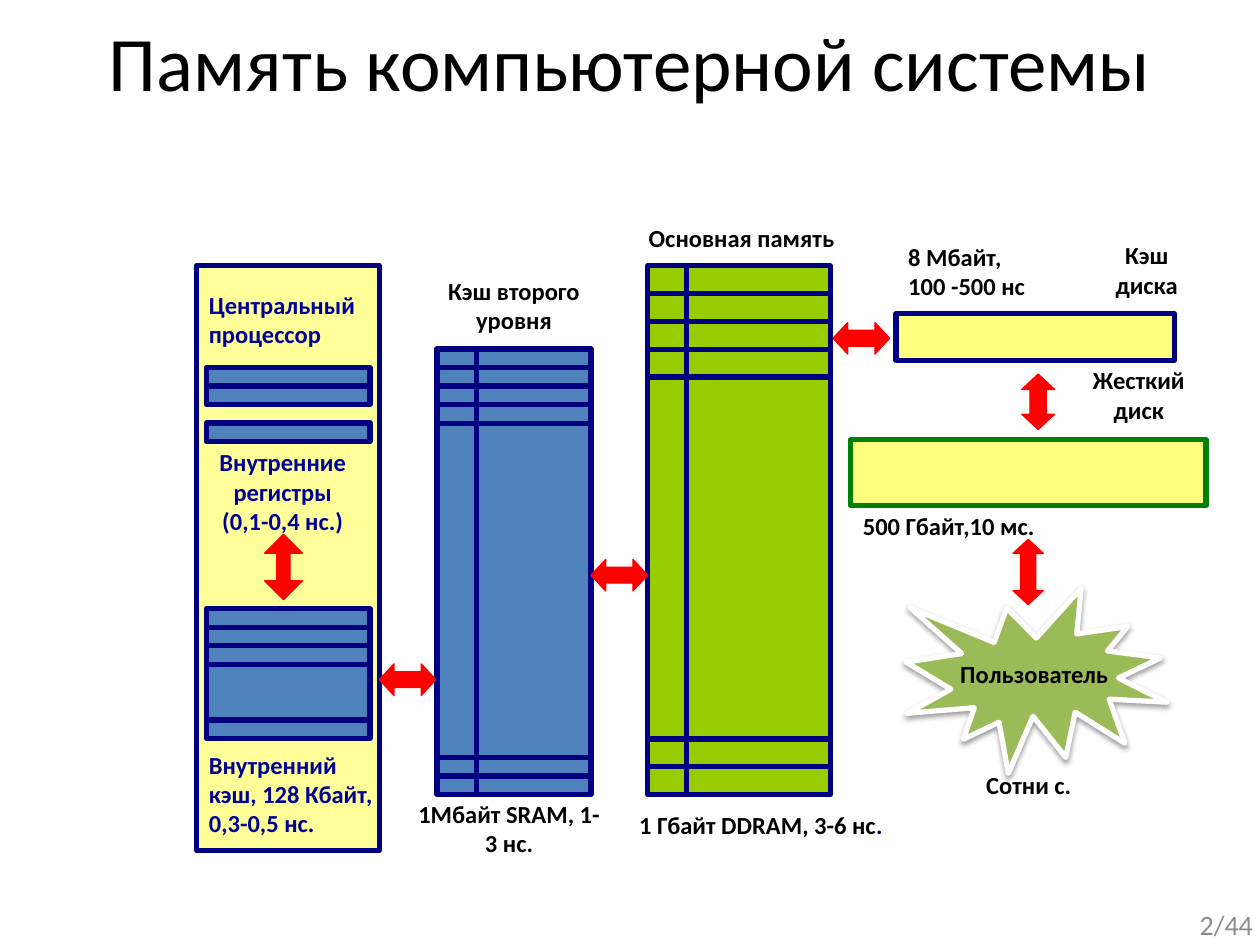
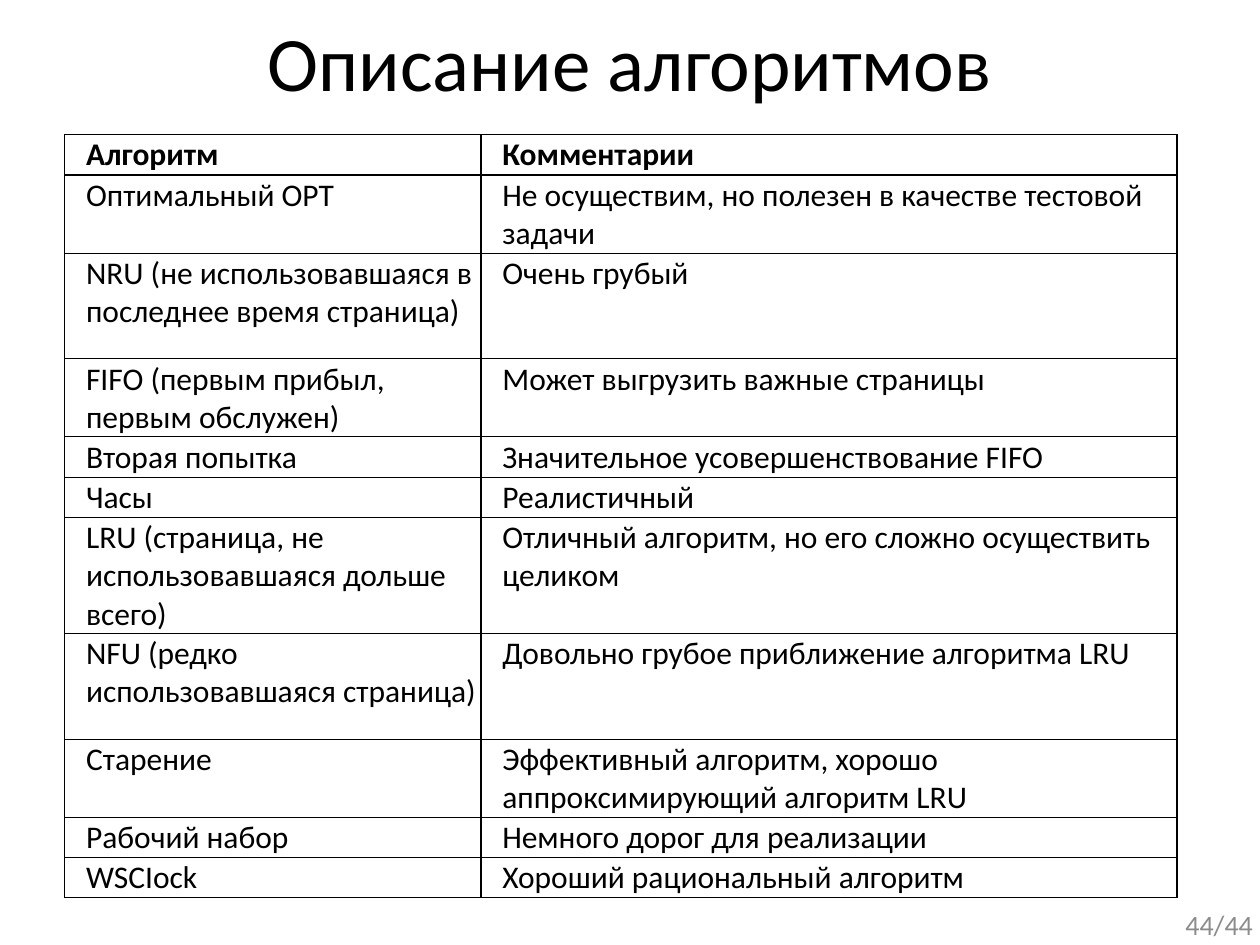
import dataclasses
from typing import Any, Optional

import lxml.etree
import pptx
import pptx.dml.color
import pptx.enum.shapes
import pptx.enum.text
import pptx.oxml.ns
import pptx.util

Pt = pptx.util.Pt
qn = pptx.oxml.ns.qn
SHAPE = pptx.enum.shapes.MSO_SHAPE
ALIGN = pptx.enum.text.PP_ALIGN
ANCHOR = pptx.enum.text.MSO_ANCHOR

# Shared look
BLACK, GREY, WHITE = "000000", "8C8C8C", "FFFFFF"
NAVY, INK, BLUE = "000080", "000099", "4F81BD"
LIME, OLIVE, GREEN = "99CC00", "9BBB59", "008000"
PALE, YELLOW, RED = "FFFF99", "FFFF00", "FF0000"
TITLE = {"name": "Calibri", "size": Pt(44), "bold": False}
LABEL = {"name": "Calibri", "size": Pt(14), "bold": True}
PAGE = {"name": "Calibri", "size": Pt(16), "bold": False}
CELL = {"name": "Calibri", "size": Pt(18), "bold": False}
HEAD = CELL | {"bold": True}
HEAVY, THIN = 1, 0.5


@dataclasses.dataclass
class Box:
    x: float
    y: float
    w: float
    h: float
    fill: str
    line: str = NAVY
    weight: float = 3
    kind: Any = SHAPE.RECTANGLE
    rot: float = 0
    alpha: int = 100
    adj: tuple[float, ...] = ()


@dataclasses.dataclass
class Memory:
    """A box ruled into cells at its top and bottom, with an optional tag column."""
    box: Box
    step: float
    top: int
    bottom: int
    tag: Optional[float] = None


@dataclasses.dataclass
class Label:
    x: float
    y: float
    w: float
    h: float
    text: str
    align: Any = ALIGN.CENTER
    color: str = BLACK
    tail: str = ""


# Helpers
def rgb(color: str) -> pptx.dml.color.RGBColor:
    return pptx.dml.color.RGBColor.from_string(color)


def set_all(obj: Any, fmt: dict) -> None:
    for key, value in fmt.items():
        setattr(obj, key, value)


def style_run(r: Any, fmt: dict, color: str) -> None:
    set_all(r.font, fmt)
    r.font.color.rgb = rgb(color)


def write(tf: Any, text: str, fmt: dict, color: str = BLACK, align: Any = ALIGN.LEFT) -> Any:
    p = tf.paragraphs[0]
    p.text = text
    p.alignment = align
    for r in p.runs:
        style_run(r, fmt, color)
    return p


def add_box(s: Any, box: Box) -> Any:
    sp = s.shapes.add_shape(box.kind, Pt(box.x), Pt(box.y), Pt(box.w), Pt(box.h))
    sp.shadow.inherit = False
    sp.rotation = box.rot
    sp.fill.solid()
    sp.fill.fore_color.rgb = rgb(box.fill)
    sp.line.color.rgb = rgb(box.line)
    sp.line.width = Pt(box.weight)
    for i, value in enumerate(box.adj):
        sp.adjustments[i] = value
    if box.alpha < 100:
        clr = sp.fill._xPr.find(qn("a:solidFill"))[0]
        lxml.etree.SubElement(clr, qn("a:alpha"), val=str(box.alpha * 1000))
    return sp


def add_line(s: Any, x1: float, y1: float, x2: float, y2: float) -> None:
    ln = s.shapes.add_connector(pptx.enum.shapes.MSO_CONNECTOR.STRAIGHT,
                                Pt(x1), Pt(y1), Pt(x2), Pt(y2))
    ln.line.color.rgb = rgb(NAVY)
    ln.line.width = Pt(3)
    lxml.etree.SubElement(ln._element.spPr, qn("a:effectLst"))


def add_memory(s: Any, m: Memory) -> None:
    b = m.box
    add_box(s, b)
    if m.tag is not None:
        add_line(s, b.x + m.tag, b.y, b.x + m.tag, b.y + b.h)
    rows = [b.y + m.step * i for i in range(1, m.top + 1)]
    rows += [b.y + b.h - m.step * i for i in range(1, m.bottom + 1)]
    for y in rows:
        add_line(s, b.x, y, b.x + b.w, y)


def add_label(s: Any, lb: Label, fmt: dict = LABEL, anchor: Any = ANCHOR.TOP) -> None:
    tf = s.shapes.add_textbox(Pt(lb.x), Pt(lb.y), Pt(lb.w), Pt(lb.h)).text_frame
    set_all(tf, {"word_wrap": True, "vertical_anchor": anchor})
    p = write(tf, lb.text, fmt, lb.color, lb.align)
    if lb.tail:
        r = p.add_run()
        r.text = lb.tail
        style_run(r, fmt, INK)


def add_slide(prs: Any, title: str, page: str) -> Any:
    s = prs.slides.add_slide(prs.slide_layouts[5])
    sp = s.shapes.title
    set_all(sp, {"left": Pt(20), "top": Pt(4.5), "width": Pt(680), "height": Pt(90)})
    set_all(sp.text_frame, {"vertical_anchor": ANCHOR.TOP, "word_wrap": True,
                            "auto_size": pptx.enum.text.MSO_AUTO_SIZE.NONE})
    write(sp.text_frame, title, TITLE, align=ALIGN.CENTER)
    add_label(s, Label(555, 514, 168, 28.8, page, ALIGN.RIGHT, GREY), PAGE, ANCHOR.MIDDLE)
    return s


# Slide 1: memory hierarchy
CPU = Box(112.3, 151.9, 104.4, 334, PALE)
REGISTERS = [Box(118, y, 93.4, 10.6, BLUE) for y in (210, 220.6, 241.8)]
MEMORIES = [
    Memory(Box(118, 347.8, 93.4, 74.2, BLUE), 10.6, 3, 1),
    Memory(Box(249.8, 199.4, 88, 254.6, BLUE), 10.6, 4, 2, 22.3),
    Memory(Box(370, 151.9, 104.4, 302.2, LIME), 15.9, 4, 2, 22.3),
]
DISKS = [
    Box(578.2, 113, 26.6, 159.2, YELLOW, rot=90, alpha=50),
    Box(569, 168.5, 37.4, 203, YELLOW, GREEN, rot=270, alpha=50),
]
USER = Box(517.7, 336.2, 149, 105.8, OLIVE, WHITE, kind=SHAPE.EXPLOSION1)
# x, y, w, h, rotation
SIDE_ARROWS = [
    (216.7, 379.4, 32.4, 18, 0),
    (337.7, 319.7, 32.4, 18, 0),
    (476, 184.3, 32.4, 18, 0),
    (577.4, 220.3, 31.7, 18.7, 90),
    (568.8, 318.2, 37.4, 17.3, 90),
]
ARROWS = [Box(151.2, 305.3, 21.6, 37.4, RED, RED, 0.75, SHAPE.UP_DOWN_ARROW, adj=(0.5, 0.35))]
ARROWS += [Box(x, y, w, h, RED, RED, 0.75, SHAPE.LEFT_RIGHT_ARROW, rot, adj=(0.5, 0.467))
           for x, y, w, h, rot in SIDE_ARROWS]
LABELS = [
    Label(112.3, 162, 115.2, 41, "Центральный процессор", ALIGN.JUSTIFY, INK),
    Label(112.3, 252, 98.6, 58.3, "Внутренние регистры (0,1-0,4 нс.)", color=INK),
    Label(112.3, 424.8, 112.3, 58.3, "Внутренний кэш, 128 Кбайт, 0,3-0,5 нс.", ALIGN.LEFT, INK),
    Label(239, 154, 109.4, 41, "Кэш второго уровня"),
    Label(230.4, 452.9, 121, 41, "1Мбайт SRAM, 1-3 нс."),
    Label(363.6, 123.8, 153.4, 24.5, "Основная память", ALIGN.LEFT),
    Label(347, 459.4, 175.7, 24.5, "1 Гбайт DDRAM, 3-6 нс", tail="."),
    Label(625, 133.9, 60.5, 41, "Кэш диска"),
    Label(511.9, 134.6, 118, 41, "8 Мбайт,\v100 -500 нс", ALIGN.LEFT),
    Label(609.8, 205.2, 82, 41, "Жесткий диск"),
    Label(486, 288.7, 144, 24.5, "500 Гбайт,10 мс.", ALIGN.LEFT),
    Label(506.2, 436.3, 163.4, 24.5, "Сотни с."),
    Label(532, 373, 118, 24.5, "Пользователь"),
]


def add_user(s: Any) -> None:
    sp = add_box(s, USER)
    effects = sp._element.spPr.find(qn("a:effectLst"))
    shadow = lxml.etree.SubElement(effects, qn("a:outerShdw"), blurRad=str(Pt(3.1)),
                                   dist=str(Pt(1.6)), dir="5400000", rotWithShape="0")
    clr = lxml.etree.SubElement(shadow, qn("a:srgbClr"), val=BLACK)
    lxml.etree.SubElement(clr, qn("a:alpha"), val="38000")


def build_memory_slide(prs: Any) -> None:
    s = add_slide(prs, "Память компьютерной системы", "2/44")
    for box in [CPU, *REGISTERS]:
        add_box(s, box)
    for m in MEMORIES:
        add_memory(s, m)
    for box in DISKS:
        add_box(s, box)
    add_user(s)
    for box in ARROWS:
        add_box(s, box)
    for lb in LABELS:
        add_label(s, lb)


# Slide 2: table of algorithms (height, algorithm, comment)
COLUMNS = (237.9, 397.7)
ROWS = [
    (21.6, "Алгоритм", "Комментарии"),
    (40.3, "Оптимальный OPT", "Не осуществим, но полезен в качестве тестовой задачи"),
    (60.5, "NRU (не использовавшаяся в последнее время страница)", "Очень грубый"),
    (41, "FIFO (первым прибыл, первым обслужен)", "Может выгрузить важные страницы"),
    (21, "Вторая попытка", "Значительное усовершенствование FIFO"),
    (21, "Часы", "Реалистичный"),
    (60.5, "LRU (страница, не использовавшаяся дольше всего)",
     "Отличный алгоритм, но его сложно осуществить целиком"),
    (60.5, "NFU (редко использовавшаяся страница)", "Довольно грубое приближение алгоритма LRU"),
    (41, "Старение", "Эффективный алгоритм, хорошо аппроксимирующий алгоритм LRU"),
    (21, "Рабочий набор", "Немного дорог для реализации"),
    (21.6, "WSCIock", "Хороший рациональный алгоритм"),
]


def set_borders(cell: Any, top: float, bottom: float) -> None:
    tc_pr = cell._tc.get_or_add_tcPr()
    sides = (("a:lnL", HEAVY), ("a:lnR", HEAVY), ("a:lnT", top), ("a:lnB", bottom))
    for i, (tag, width) in enumerate(sides):
        ln = lxml.etree.Element(qn(tag), w=str(Pt(width)))
        fill = lxml.etree.SubElement(ln, qn("a:solidFill"))
        lxml.etree.SubElement(fill, qn("a:srgbClr"), val=BLACK)
        tc_pr.insert(i, ln)


def build_table_slide(prs: Any) -> None:
    s = add_slide(prs, "Описание алгоритмов", "44/44")
    last = len(ROWS) - 1
    table = s.shapes.add_table(len(ROWS), len(COLUMNS), Pt(37), Pt(77), Pt(sum(COLUMNS)),
                               Pt(sum(row[0] for row in ROWS))).table
    set_all(table, {"first_row": False, "horz_banding": False})
    for column, width in zip(table.columns, COLUMNS):
        column.width = Pt(width)
    margins = {f"margin_{side}": Pt(0.7) for side in ("left", "top", "right", "bottom")}
    for i, (height, *texts) in enumerate(ROWS):
        table.rows[i].height = Pt(height)
        for j, text in enumerate(texts):
            cell = table.cell(i, j)
            set_all(cell, margins)
            cell.vertical_anchor = ANCHOR.TOP if i else ANCHOR.BOTTOM
            cell.fill.background()
            p = write(cell.text_frame, text, CELL if i else HEAD)
            p._p.get_or_add_pPr().set("marL", str(Pt(11.5)))
            set_borders(cell, HEAVY if i < 2 else THIN, HEAVY if i in (0, last) else THIN)


def main() -> None:
    prs = pptx.Presentation()
    set_all(prs, {"slide_width": Pt(720), "slide_height": Pt(540)})
    build_memory_slide(prs)
    build_table_slide(prs)
    prs.save("out.pptx")


if __name__ == "__main__":
    main()
